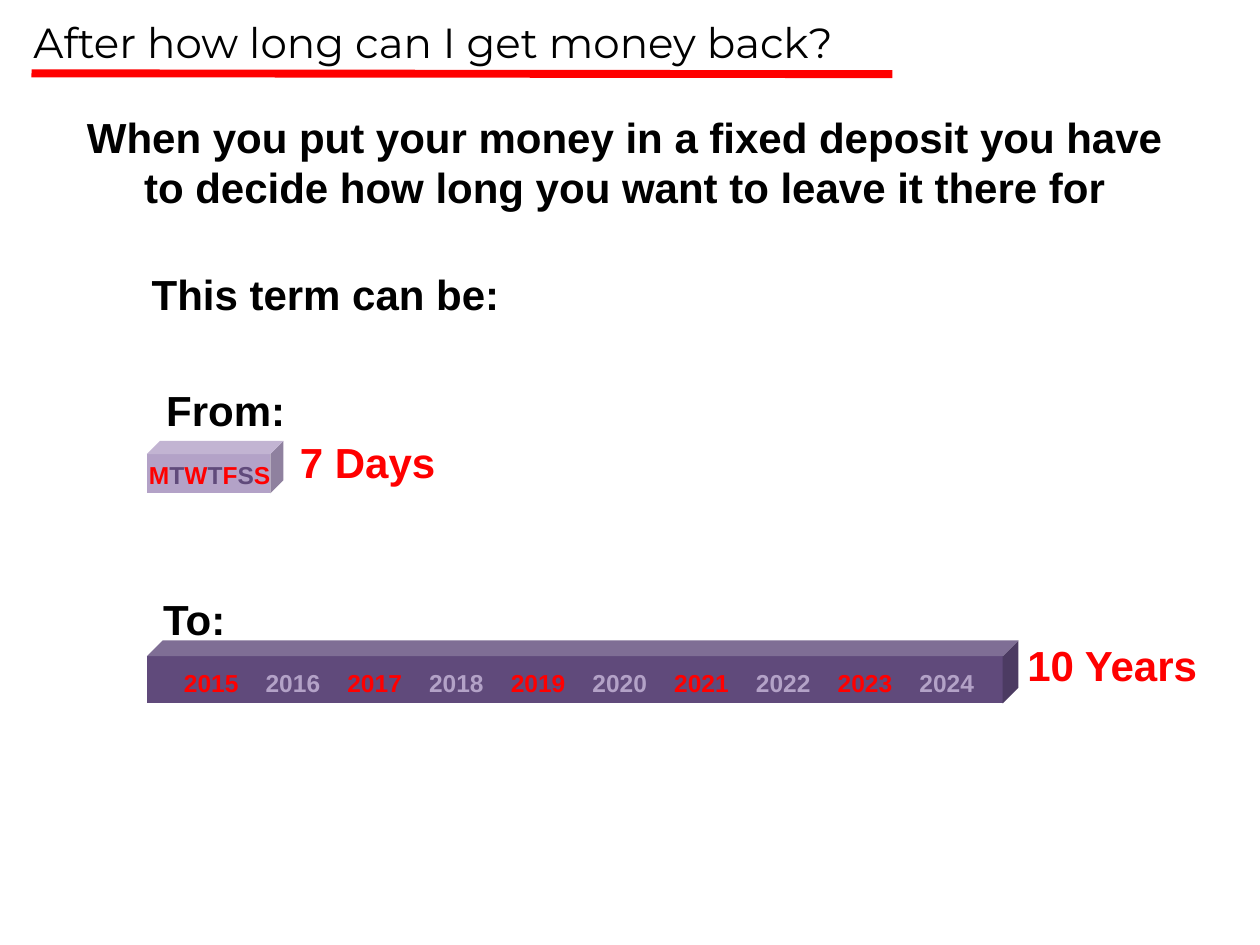
from dataclasses import dataclass

from lxml.etree import SubElement
from pptx import Presentation
from pptx.dml.color import RGBColor
from pptx.enum.shapes import MSO_CONNECTOR, MSO_SHAPE
from pptx.enum.text import MSO_AUTO_SIZE, PP_ALIGN
from pptx.oxml.ns import qn
from pptx.shapes.autoshape import Shape
from pptx.util import Pt

COLORS = {"black": "000000", "red": "FF0000", "lilac": "B3A2C7", "purple": "604A7B"}
YEAR_STEP = 46.7


@dataclass(frozen=True)
class Box:
    left: float
    top: float
    width: float
    height: float

    def lengths(self) -> tuple:
        return Pt(self.left), Pt(self.top), Pt(self.width), Pt(self.height)


@dataclass(frozen=True)
class Term:
    bar: Box
    bar_color: str
    label: str
    label_box: Box
    units: list[str]
    units_box: Box
    unit_color: str
    tab_step: float = 0


def add_text(shapes, box: Box, text: str | list[tuple[str, str]], *, size: float = 24,
             font: str = "Arial", color: str = "black", bold: bool = True,
             align: PP_ALIGN = PP_ALIGN.CENTER) -> Shape:
    shape = shapes.add_textbox(*box.lengths())
    frame = shape.text_frame
    frame.word_wrap = True
    frame.auto_size = MSO_AUTO_SIZE.SHAPE_TO_FIT_TEXT
    paragraph = frame.paragraphs[0]
    paragraph.alignment = align
    for words, run_color in [(text, color)] if isinstance(text, str) else text:
        run = paragraph.add_run()
        run.text = words
        run.font.size = Pt(size)
        run.font.name = font
        run.font.bold = bold
        run.font.color.rgb = RGBColor.from_string(COLORS[run_color])
    return shape


def set_tab_stops(shape: Shape, step: float, count: int) -> None:
    properties = shape.text_frame.paragraphs[0]._p.get_or_add_pPr()
    tab_list = SubElement(properties, qn("a:tabLst"))
    for index in range(1, count + 1):
        SubElement(tab_list, qn("a:tab"), pos=str(Pt(step * index)), algn="l")


def add_underline(shapes) -> None:
    line = shapes.add_connector(MSO_CONNECTOR.STRAIGHT, Pt(18), Pt(41.9), Pt(510), Pt(42.4))
    line.line.color.rgb = RGBColor.from_string(COLORS["red"])
    line.line.width = Pt(4.5)
    SubElement(line._element.spPr, qn("a:effectLst"))


def add_term(shapes, term: Term) -> None:
    group = shapes.add_group_shape().shapes
    bar = group.add_shape(MSO_SHAPE.CUBE, *term.bar.lengths())
    bar.shadow.inherit = False
    bar.fill.solid()
    bar.fill.fore_color.rgb = RGBColor.from_string(COLORS[term.bar_color])
    bar.line.fill.background()
    add_text(group, term.label_box, term.label, color="red")
    runs = [
        ("\t" + unit if term.tab_step and index else unit,
         term.unit_color if index % 2 else "red")
        for index, unit in enumerate(term.units)
    ]
    units = add_text(group, term.units_box, runs, size=14, align=PP_ALIGN.LEFT)
    if term.tab_step:
        set_tab_stops(units, term.tab_step, len(term.units) - 1)


def main() -> None:
    presentation = Presentation()
    presentation.slide_width, presentation.slide_height = Pt(720), Pt(540)
    shapes = presentation.slides.add_slide(presentation.slide_layouts[6]).shapes

    add_text(shapes, Box(12, 6, 708, 36), "After how long can I get money back?",
             font="Montserrat", bold=False, align=PP_ALIGN.LEFT)
    add_underline(shapes)
    statements = [
        (Box(42, 60, 630, 65.4), "When you put your money in a fixed deposit you have "
                                 "to decide how long you want to leave it there for"),
        (Box(72, 150, 228, 36), "This term can be:"),
        (Box(84, 216, 90, 36), "From:"),
        (Box(84, 335.75, 54, 36), "To:"),
    ]
    for box, text in statements:
        add_text(shapes, box, text)

    terms = [
        Term(Box(84, 252, 78, 30), "lilac", "7 Days", Box(162, 246, 96, 36),
             list("MTWTFSS"), Box(78, 259.5, 108, 24), "purple"),
        Term(Box(84, 366, 498, 36), "purple", "10 Years", Box(572.5, 362, 126, 36),
             [str(year) for year in range(2015, 2025)], Box(98, 378, 480, 24.2),
             "lilac", YEAR_STEP),
    ]
    for term in terms:
        add_term(shapes, term)

    presentation.save("out.pptx")


if __name__ == "__main__":
    main()
